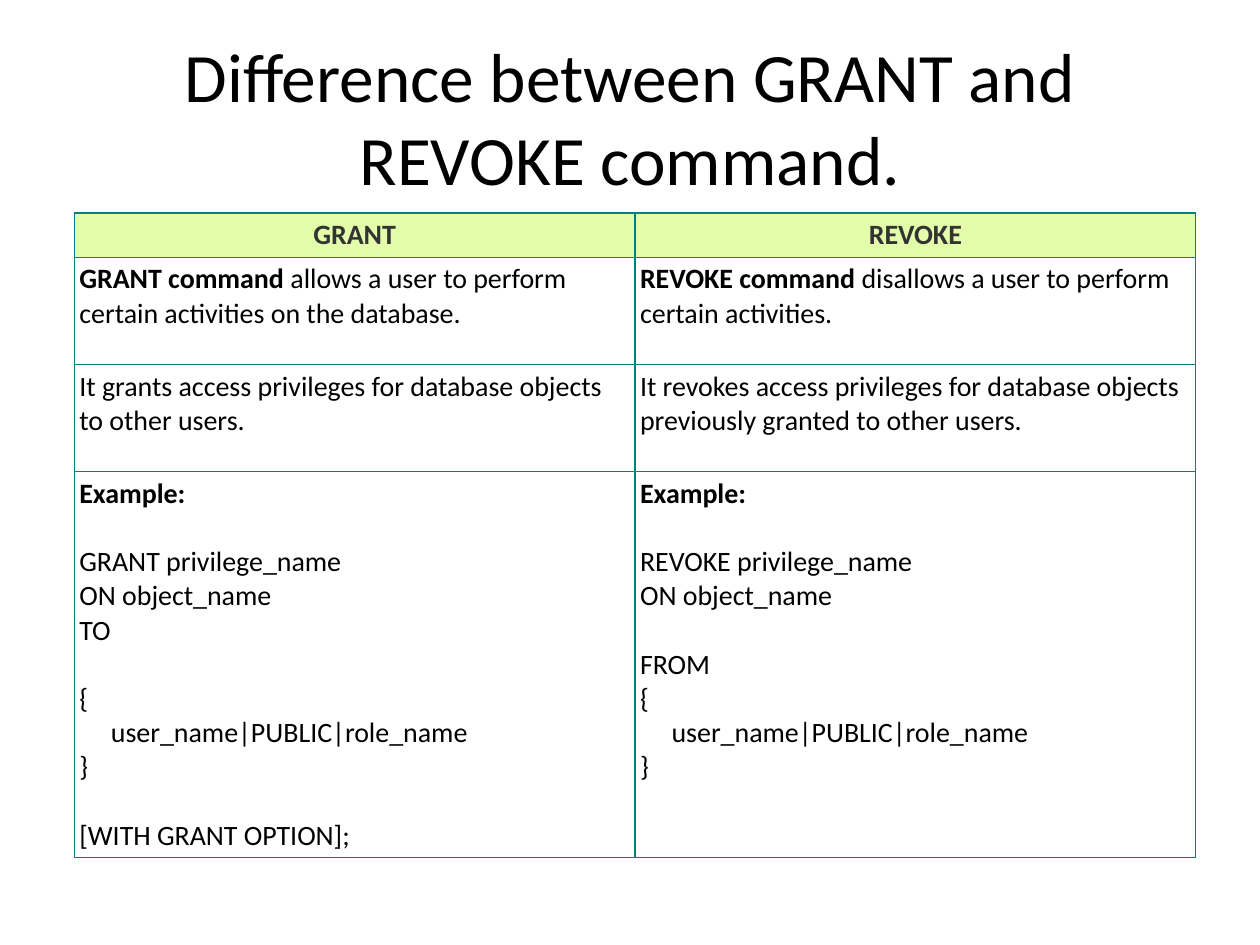
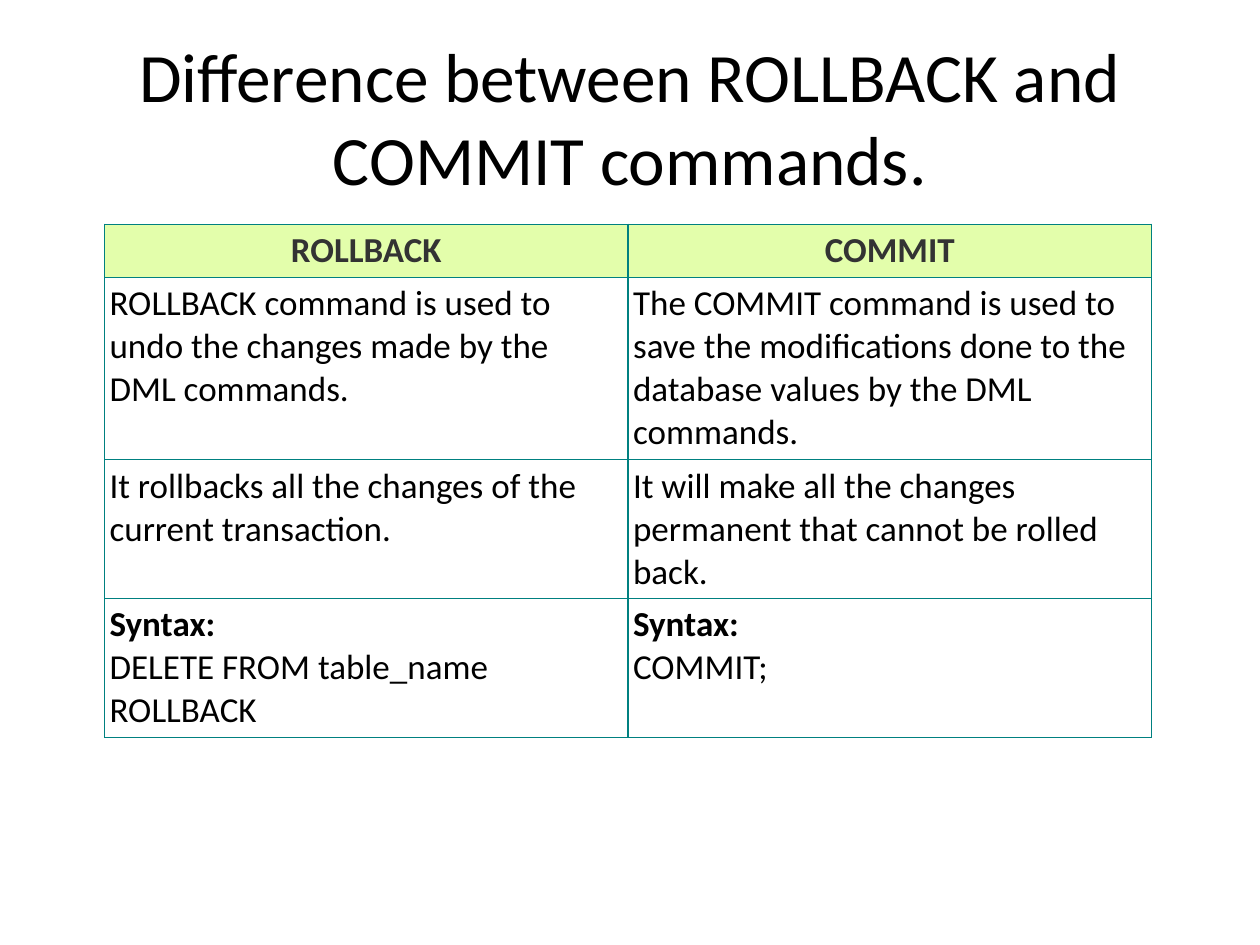
import pptx
import pptx.dml.color
import pptx.enum.text
import pptx.oxml
import pptx.oxml.ns
import pptx.util

RGBColor = pptx.dml.color.RGBColor
BLACK = RGBColor(0x00, 0x00, 0x00)
WHITE = RGBColor(0xFF, 0xFF, 0xFF)
CHARCOAL = RGBColor(0x33, 0x33, 0x33)
LIME = RGBColor(0xE3, 0xFE, 0xAB)
TEAL = RGBColor(0x00, 0x80, 0x80)

FONT = "Calibri"
TITLE_SIZE = 39.6
LINE_HEIGHT = 1.22
BORDER_WIDTH = 0.75
CELL_MARGIN = 0.4

# The slide is a grid of 100 columns by 75 rows of square units.
GRID_COLUMNS, GRID_ROWS = 100, 75
UNIT = pptx.util.Inches(0.1)
TITLE_BOX = (5, 3, 90, 12.5)

# Text between ** marks is bold; an empty line stands for a gap.
COMPARISONS = [
    {
        "title": "Difference between GRANT and REVOKE command.",
        "box": (5.9, 16.9, 89),
        "row_heights": (3.4, 8.5, 8.5, 30.6),
        "size": 16,
        "rows": [
            ("GRANT", "REVOKE"),
            ("**GRANT command** allows a user to perform certain activities on the database.",
             "**REVOKE command** disallows a user to perform certain activities."),
            ("It grants access privileges for database objects to other users.",
             "It revokes access privileges for database objects previously granted to other users."),
            ("""**Example:**

GRANT privilege_name
ON object_name
TO

{
     user_name|PUBLIC|role_name
}

[WITH GRANT OPTION];""",
             """**Example:**

REVOKE privilege_name
ON object_name

FROM
{
     user_name|PUBLIC|role_name
}"""),
        ],
    },
    {
        "title": "Difference between ROLLBACK and COMMIT commands.",
        "box": (8.3, 17.8, 83.1),
        "row_heights": (4.2, 14.5, 11, 11),
        "size": 20,
        "rows": [
            ("ROLLBACK", "COMMIT"),
            ("ROLLBACK command is used to undo the changes made by the DML commands.",
             "The COMMIT command is used to save the modifications done to the "
             "database values by the DML commands."),
            ("It rollbacks all the changes of the current transaction.",
             "It will make all the changes permanent that cannot be rolled back."),
            ("**Syntax:**\nDELETE FROM table_name ROLLBACK",
             "**Syntax:**\nCOMMIT;"),
        ],
    },
]


def units(count):
    return round(count * UNIT)


def apply_format(target, values):
    for name, value in values.items():
        setattr(target, name, value)


def format_font(font, size, color, bold=False):
    apply_format(font, {"name": FONT, "size": pptx.util.Pt(size), "bold": bold})
    font.color.rgb = color


def add_title(slide, text, box):
    title = slide.shapes.title
    left, top, width, height = map(units, box)
    apply_format(title, {"left": left, "top": top, "width": width, "height": height})
    frame = title.text_frame
    frame.text = text
    apply_format(frame, {
        "word_wrap": True,
        "auto_size": pptx.enum.text.MSO_AUTO_SIZE.NONE,
        "vertical_anchor": pptx.enum.text.MSO_ANCHOR.MIDDLE,
    })
    paragraph = frame.paragraphs[0]
    paragraph.alignment = pptx.enum.text.PP_ALIGN.CENTER
    format_font(paragraph.runs[0].font, TITLE_SIZE, BLACK)


def add_borders(cell):
    """Outline a cell; call this before setting its fill."""
    properties = cell._tc.get_or_add_tcPr()
    for side in ("lnL", "lnR", "lnT", "lnB"):
        properties.append(pptx.oxml.parse_xml(
            f'<a:{side} {pptx.oxml.ns.nsdecls("a")} w="{pptx.util.Pt(BORDER_WIDTH)}">'
            f'<a:solidFill><a:srgbClr val="{TEAL}"/></a:solidFill></a:{side}>'))


def write_cell(cell, text, size, is_header):
    """Write one paragraph per line, turning empty lines into space before."""
    color = CHARCOAL if is_header else BLACK
    paragraph, gap_lines = None, 0
    for line in text.split("\n"):
        if not line:
            gap_lines += 1
            continue
        frame = cell.text_frame
        paragraph = frame.add_paragraph() if paragraph else frame.paragraphs[0]
        if is_header:
            paragraph.alignment = pptx.enum.text.PP_ALIGN.CENTER
        if gap_lines:
            paragraph.space_before = pptx.util.Pt(gap_lines * LINE_HEIGHT * size)
        for index, part in enumerate(line.split("**")):
            if part:
                run = paragraph.add_run()
                run.text = part
                format_font(run.font, size, color, is_header or index % 2 == 1)
        gap_lines = 0


def add_comparison_table(slide, box, row_heights, rows, size):
    left, top, width = map(units, box)
    column_count = len(rows[0])
    table = slide.shapes.add_table(len(rows), column_count, left, top, width,
                                   units(sum(row_heights))).table
    for column in table.columns:
        column.width = width // column_count
    margins = dict.fromkeys(
        ("margin_left", "margin_right", "margin_top", "margin_bottom"), units(CELL_MARGIN))
    for row_index, (texts, height) in enumerate(zip(rows, row_heights)):
        table.rows[row_index].height = units(height)
        is_header = row_index == 0
        for column_index, text in enumerate(texts):
            cell = table.cell(row_index, column_index)
            apply_format(cell, margins)
            add_borders(cell)
            cell.fill.solid()
            cell.fill.fore_color.rgb = LIME if is_header else WHITE
            write_cell(cell, text, size, is_header)


def add_comparison_slide(presentation, comparison):
    slide = presentation.slides.add_slide(presentation.slide_layouts.get_by_name("Title Only"))
    add_title(slide, comparison["title"], TITLE_BOX)
    add_comparison_table(slide, comparison["box"], comparison["row_heights"],
                         comparison["rows"], comparison["size"])


def main():
    presentation = pptx.Presentation()
    presentation.slide_width = units(GRID_COLUMNS)
    presentation.slide_height = units(GRID_ROWS)
    for comparison in COMPARISONS:
        add_comparison_slide(presentation, comparison)
    presentation.save("out.pptx")


if __name__ == "__main__":
    main()
